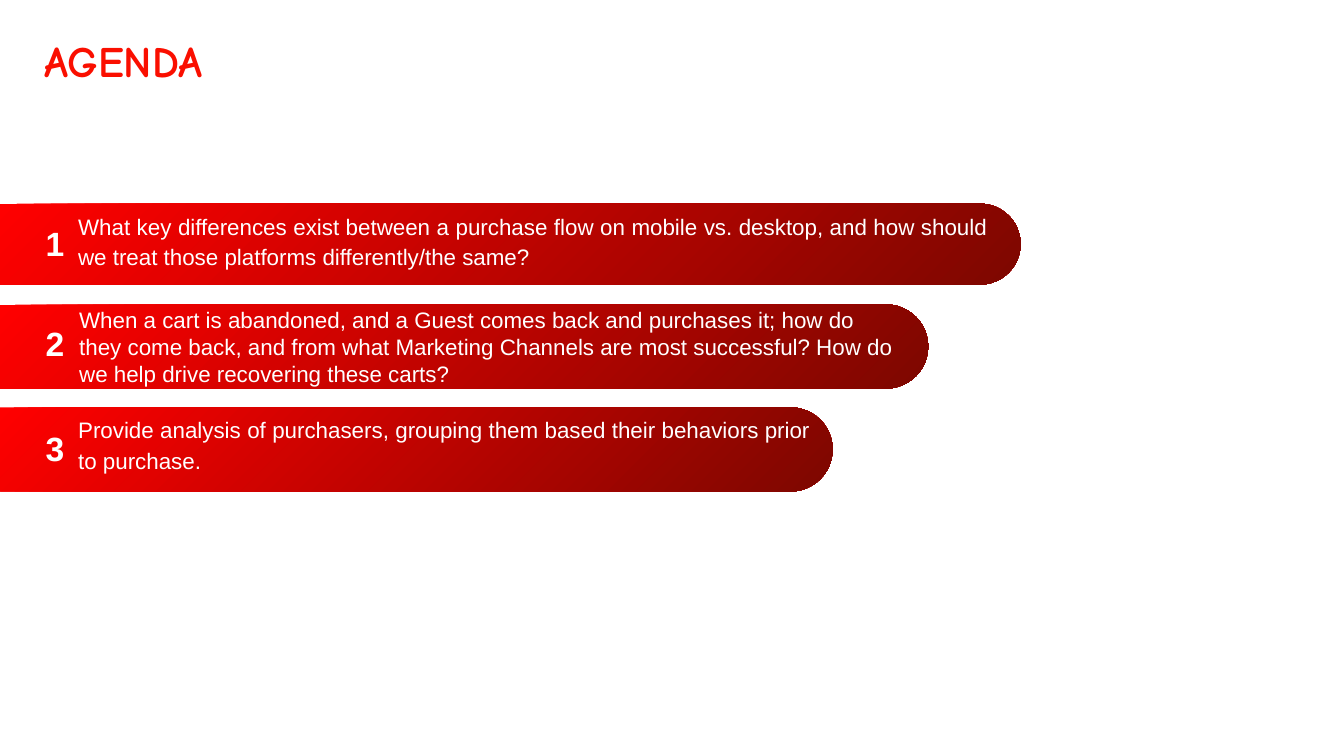
import dataclasses

import lxml.etree
import pptx
import pptx.dml.color
import pptx.enum.shapes
import pptx.enum.text
import pptx.oxml.ns
import pptx.shapes.autoshape
import pptx.slide
import pptx.util

PX = 9525  # EMU in one px, 96 px to the inch
COLORS = {"title": "FA0F00", "dark": "7D0700", "red": "FF0000", "white": "FFFFFF"}
ALIGN = pptx.enum.text.PP_ALIGN
ANCHOR = pptx.enum.text.MSO_ANCHOR
FIT = pptx.enum.text.MSO_AUTO_SIZE


@dataclasses.dataclass
class Box:
    left: int
    top: int
    width: int
    height: int

    def emu(self) -> list[int]:
        return [side * PX for side in dataclasses.astuple(self)]


@dataclasses.dataclass
class Style:
    size: int
    color: str = "white"
    font: str = "Arial"
    bold: bool = False


@dataclasses.dataclass
class Item:
    text: str
    bar: Box
    label: Box
    body: Box
    anchor: ANCHOR = ANCHOR.TOP
    spaced: bool = True


TITLE = Style(31, "title", "Comic Neue", True)
NUMBER = Style(24, bold=True)
BODY = Style(16)

ITEMS = [
    Item(
        "What key differences exist between a purchase flow on mobile vs. desktop, "
        "and how should we treat those platforms differently/the same?",
        Box(0, 194, 972, 77), Box(34, 212, 40, 38), Box(65, 194, 885, 77),
        anchor=ANCHOR.MIDDLE,
    ),
    Item(
        "When a cart is abandoned, and a Guest comes back and purchases it; "
        "how do they come back, and from what Marketing Channels are most "
        "successful? How do we help drive recovering these carts?",
        Box(0, 290, 884, 80), Box(34, 303, 40, 48), Box(65, 287, 802, 80),
        spaced=False,
    ),
    Item(
        "Provide analysis of purchasers, grouping them based their behaviors "
        "prior to purchase.",
        Box(0, 388, 793, 80), Box(34, 403, 40, 48), Box(65, 388, 716, 80),
    ),
]


def paint(bar: pptx.shapes.autoshape.Shape) -> None:
    """Fill the bar with a round gradient, dark at the lower right."""
    bar.fill.gradient()
    for stop, name, place in zip(bar.fill.gradient_stops, ("dark", "red"), (0, 1)):
        stop.color.rgb = pptx.dml.color.RGBColor.from_string(COLORS[name])
        stop.position = place
    qn = pptx.oxml.ns.qn
    grad = bar._element.spPr.find(qn("a:gradFill"))
    line = grad.find(qn("a:lin"))
    route = lxml.etree.Element(qn("a:path"), {"path": "circle"})
    lxml.etree.SubElement(route, qn("a:fillToRect"), {"l": "100000", "t": "100000"})
    grad.replace(line, route)


def add_bar(slide: pptx.slide.Slide, box: Box) -> None:
    """Draw a bar, round at its right end, as an upright shape turned by 90 degrees."""
    left, top, width, height = box.emu()
    shift = (width - height) // 2
    bar = slide.shapes.add_shape(
        pptx.enum.shapes.MSO_SHAPE.ROUND_2_SAME_RECTANGLE,
        left + shift, top - shift, height, width,
    )
    bar.rotation = 90
    bar.adjustments[0] = 0.5
    bar.adjustments[1] = 0
    bar.shadow.inherit = False
    bar.line.fill.background()
    paint(bar)


def add_text(
    slide: pptx.slide.Slide, box: Box, text: str, style: Style,
    anchor: ANCHOR = ANCHOR.TOP, fit: FIT = FIT.NONE,
):
    """Add a text box and return its paragraph."""
    frame = slide.shapes.add_textbox(*box.emu()).text_frame
    frame.word_wrap = True
    frame.auto_size = fit
    frame.vertical_anchor = anchor
    frame.text = text
    para = frame.paragraphs[0]
    font = para.runs[0].font
    font.name = style.font
    font.size = pptx.util.Pt(style.size)
    font.bold = style.bold
    font.color.rgb = pptx.dml.color.RGBColor.from_string(COLORS[style.color])
    return para


def add_item(slide: pptx.slide.Slide, number: int, item: Item) -> None:
    add_bar(slide, item.bar)
    fit = FIT.NONE if item.anchor == ANCHOR.MIDDLE else FIT.SHAPE_TO_FIT_TEXT
    add_text(slide, item.label, str(number), NUMBER, item.anchor, fit)
    para = add_text(slide, item.body, item.text, BODY, fit=FIT.SHAPE_TO_FIT_TEXT)
    if item.spaced:
        para.alignment = ALIGN.JUSTIFY
        para.line_spacing = 1.15
        para.space_before = pptx.util.Pt(18)
    else:
        para._p.get_or_add_pPr().set("marL", str(PX))


def main() -> None:
    deck = pptx.Presentation()
    deck.slide_width = 1280 * PX
    deck.slide_height = 720 * PX
    slide = deck.slides.add_slide(deck.slide_layouts[6])
    for number, item in enumerate(ITEMS, 1):
        add_item(slide, number, item)
    title = add_text(slide, Box(33, 33, 1207, 68), "AGENDA", TITLE)
    title.line_spacing = 0.9
    deck.save("out.pptx")


if __name__ == "__main__":
    main()
